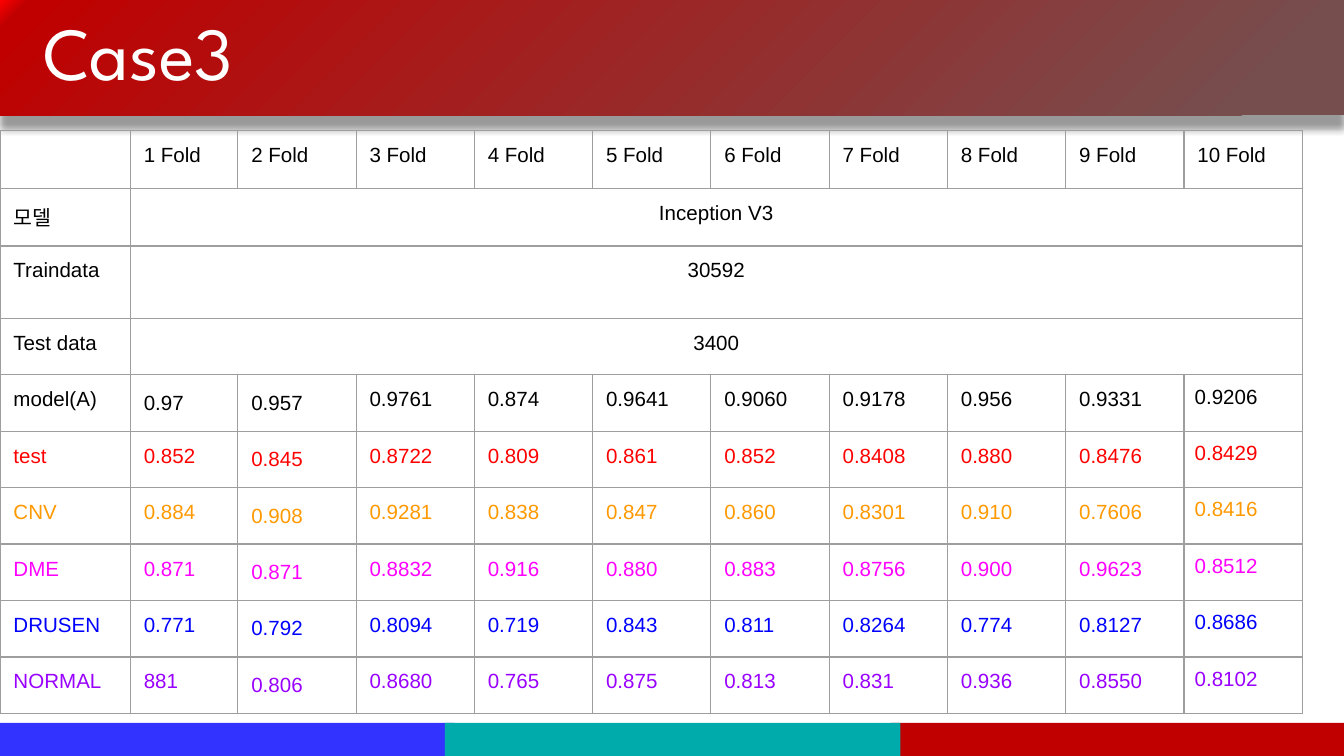
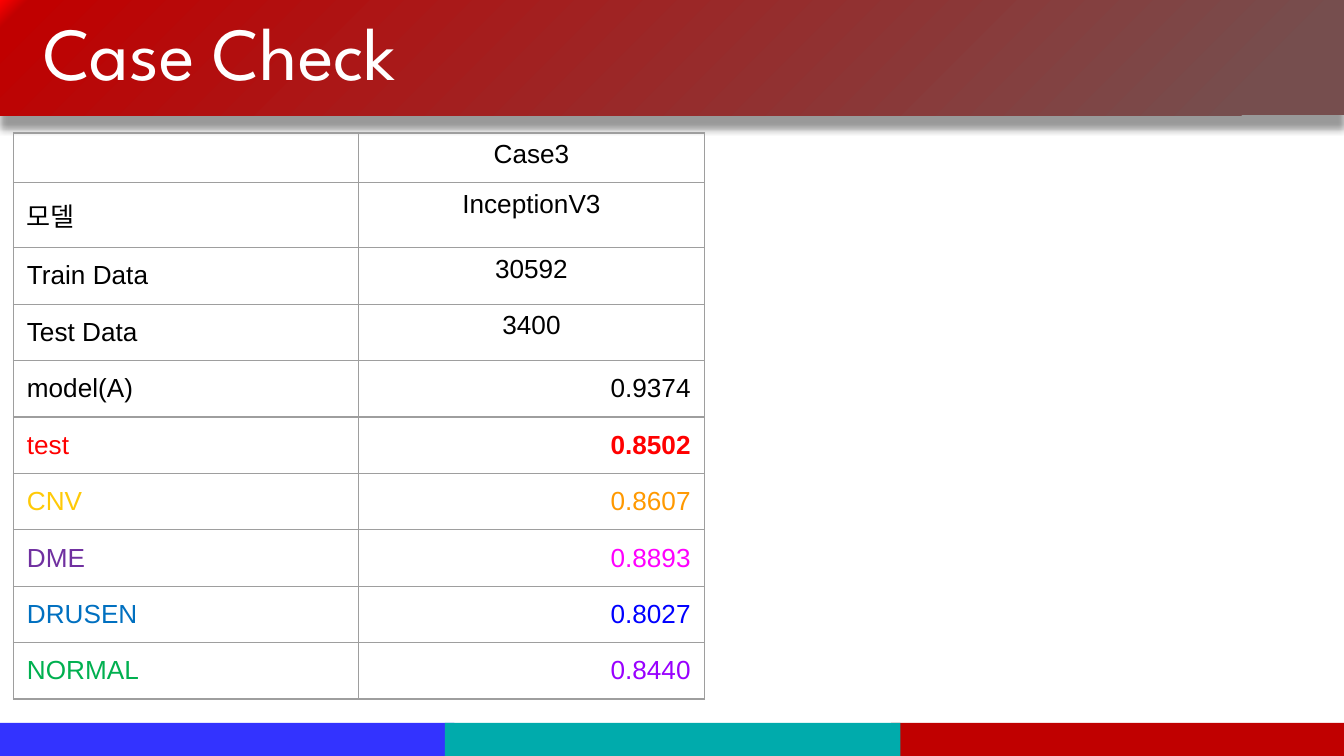
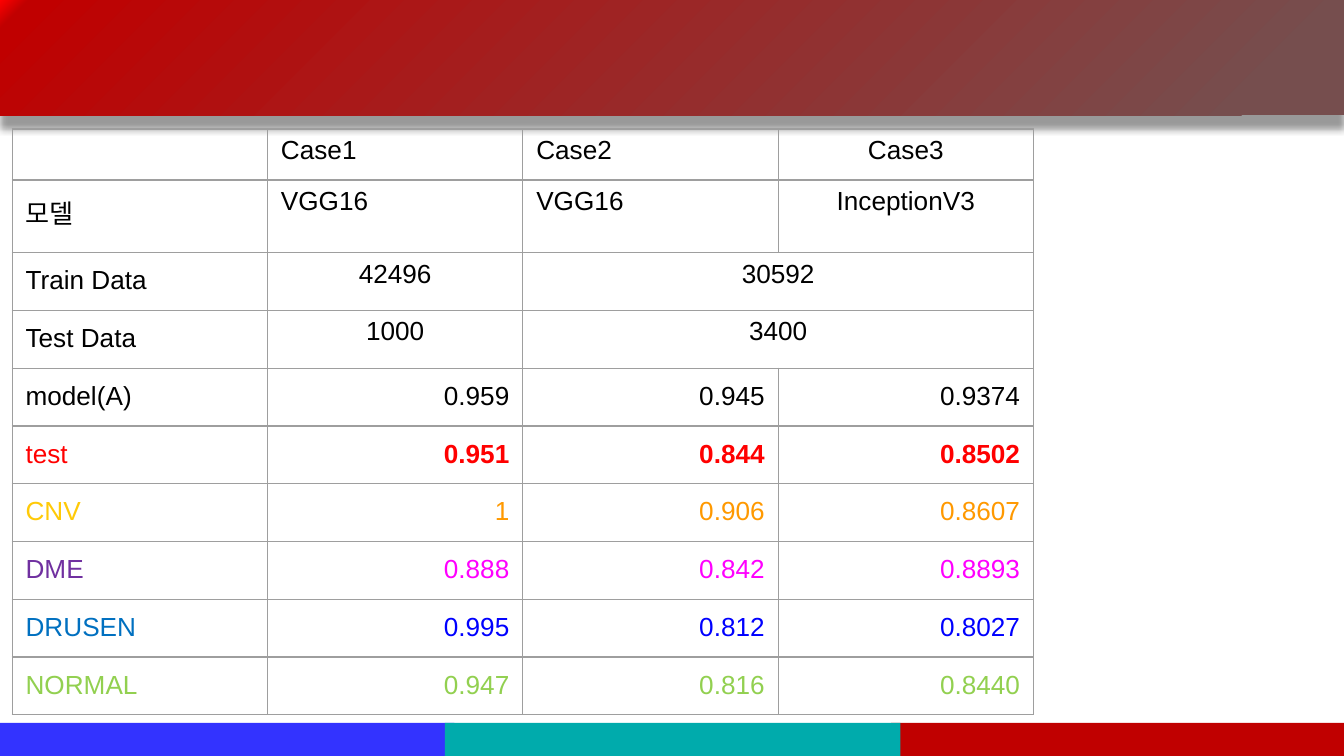
from lxml import etree
from pptx import Presentation
from pptx.dml.color import RGBColor
from pptx.enum import shapes, text
from pptx.oxml import ns, parse_xml
from pptx.util import Inches, Pt

COLORS = {
    "white": "FFFFFF", "black": "000000", "border": "9E9E9E",
    "footer_blue": "3333FF", "footer_teal": "00ABAC", "footer_red": "C00000",
    "band_start": "FF0000", "band_red": "C00000", "band_grey": "764E4E",
    "red": "FF0000", "orange": "FF9900", "magenta": "FF00FF",
    "blue": "0000FF", "violet": "9900FF", "gold": "FFCA08",
    "purple": "7030A0", "sky": "0070C0", "green": "00B050", "lime": "92D050",
}
LEFT, CENTER, RIGHT = text.PP_ALIGN.LEFT, text.PP_ALIGN.CENTER, text.PP_ALIGN.RIGHT
BODY_FONT, TITLE_FONT = "Arial", "League Spartan"

FOOTER = [(6.63, "footer_red"), (-0.01, "footer_blue"), (3.31, "footer_teal")]
BAND_STOPS = [(0, "band_start"), (2, "band_red"), (93, "band_grey"), (100, "band_grey")]

HEADER_ROWS = 4
FOLD_COLORS = ["black"] * 5 + ["red", "orange", "magenta", "blue", "violet"]
LABEL_COLORS = ["black"] * 5 + ["red", "gold", "purple", "sky"]

FOLDS = [
    [""] + [f"{fold} Fold" for fold in range(1, 11)],
    ["모델", "Inception V3"] + [None] * 9,
    ["Traindata", "30592"] + [None] * 9,
    ["Test data", "3400"] + [None] * 9,
    ["model(A)", "0.97", "0.957", "0.9761", "0.874", "0.9641", "0.9060", "0.9178", "0.956", "0.9331", "0.9206"],
    ["test", "0.852", "0.845", "0.8722", "0.809", "0.861", "0.852", "0.8408", "0.880", "0.8476", "0.8429"],
    ["CNV", "0.884", "0.908", "0.9281", "0.838", "0.847", "0.860", "0.8301", "0.910", "0.7606", "0.8416"],
    ["DME", "0.871", "0.871", "0.8832", "0.916", "0.880", "0.883", "0.8756", "0.900", "0.9623", "0.8512"],
    ["DRUSEN", "0.771", "0.792", "0.8094", "0.719", "0.843", "0.811", "0.8264", "0.774", "0.8127", "0.8686"],
    ["NORMAL", "881", "0.806", "0.8680", "0.765", "0.875", "0.813", "0.831", "0.936", "0.8550", "0.8102"],
]
CASES = [
    ["", "Case1", "Case2", "Case3"],
    ["모델", "VGG16", "VGG16", "InceptionV3"],
    ["Train Data", "42496", "30592", None],
    ["Test Data", "1000", "3400", None],
    ["model(A)", "0.959", "0.945", "0.9374"],
    ["test", "0.951", "0.844", "0.8502"],
    ["CNV", "1", "0.906", "0.8607"],
    ["DME", "0.888", "0.842", "0.8893"],
    ["DRUSEN", "0.995", "0.812", "0.8027"],
    ["NORMAL", "0.947", "0.816", "0.8440"],
]
CASE3 = [[row[0], row[3] or row[2]] for row in CASES]


def fold_format(row, col):
    is_value = row >= HEADER_ROWS
    loose = is_value and (col == 2 or (row, col) == (HEADER_ROWS, 1))
    inset = 0.08 if is_value and col == 10 else 0.1
    return dict(size=11, color=FOLD_COLORS[row], inset=(inset, inset),
                spacing=1.15 if loose else None,
                align=CENTER if 0 < row < HEADER_ROWS and col else LEFT)


def case_format(normal_label, normal_value, left_cols):
    def cell_format(row, col):
        is_value = row >= HEADER_ROWS
        if col == 0:
            return dict(size=14, color=(LABEL_COLORS + [normal_label])[row],
                        inset=(0.1, 0.1 if row else 0.05), align=LEFT)
        if is_value:
            align = RIGHT
        else:
            align = LEFT if row < 2 and col in left_cols else CENTER
        return dict(size=14, color=(FOLD_COLORS[:-1] + [normal_value])[row],
                    inset=(0.1, 0.1 if is_value else 0.05),
                    align=align, bold=is_value and row == 5)
    return cell_format


SLIDES = [
    dict(title="Case3", rows=FOLDS, at=(0, 0.97), cols=[0.97, 0.8] + [0.88] * 9,
         heights=[0.43, 0.43, 0.54] + [0.42] * 7, cell_format=fold_format),
    dict(title="Case Check", rows=CASE3, at=(0.1, 0.99), cols=[2.57] * 2,
         heights=[0.37, 0.48] + [0.42] * 8,
         cell_format=case_format("green", "violet", ())),
    dict(title=None, rows=CASES, at=(0.09, 0.96), cols=[1.9] * 4,
         heights=[0.38, 0.54] + [0.43] * 8,
         cell_format=case_format("lime", "lime", (1, 2))),
]


def write(frame, words, size, color, font=BODY_FONT, align=LEFT, bold=False,
          spacing=None, inset=(0.1, 0.05), anchor=text.MSO_ANCHOR.TOP):
    frame.margin_left = frame.margin_right = Inches(inset[0])
    frame.margin_top = frame.margin_bottom = Inches(inset[1])
    frame.vertical_anchor = anchor
    holder = getattr(frame, "text_frame", frame)
    paragraph = holder.paragraphs[0]
    paragraph.alignment = align
    paragraph.line_spacing = spacing
    if not words:
        etree.SubElement(paragraph._p, ns.qn("a:endParaRPr"), sz=str(size * 100))
        return
    run = paragraph.add_run()
    run.text = words
    run.font.size, run.font.name, run.font.bold = Pt(size), font, bold
    run.font.color.rgb = RGBColor.from_string(COLORS[color])


def add_block(slide, left, top, width, height, color):
    block = slide.shapes.add_shape(shapes.MSO_SHAPE.RECTANGLE, Inches(left), Inches(top),
                                   Inches(width), Inches(height))
    block.shadow.inherit = False
    block.line.fill.background()
    block.fill.solid()
    block.fill.fore_color.rgb = RGBColor.from_string(COLORS[color])
    return block


def style_band(band):
    stops = "".join(f'<a:gs pos="{pos * 1000}"><a:srgbClr val="{COLORS[color]}"/></a:gs>'
                    for pos, color in BAND_STOPS)
    properties = band._element.spPr
    solid = properties.find(ns.qn("a:solidFill"))
    properties.replace(solid, parse_xml(
        f'<a:gradFill {ns.nsdecls("a")} rotWithShape="1"><a:gsLst>{stops}</a:gsLst>'
        '<a:path path="circle"><a:fillToRect r="100000" b="100000"/></a:path></a:gradFill>'))
    effects = properties.find(ns.qn("a:effectLst"))
    effects.append(parse_xml(
        f'<a:outerShdw {ns.nsdecls("a")} blurRad="{Pt(4)}" dist="{Pt(7)}" dir="5400000" '
        f'algn="t" rotWithShape="0"><a:srgbClr val="{COLORS["black"]}">'
        '<a:alpha val="40000"/></a:srgbClr></a:outerShdw>'))


def decorate_master(master, slide):
    parts = [add_block(slide, left, 5.38, 3.39, 0.26, color) for left, color in FOOTER]
    band = add_block(slide, 0, 0, 10, 0.86, "band_red")
    style_band(band)
    for index, part in enumerate(parts + [band]):
        part._element.nvSpPr.cNvPr.set("id", str(20 + index))
        master.shapes._spTree.insert(2 + index, part._element)


def add_title(slide, words):
    title = slide.shapes.title
    title.left, title.top = Inches(0.22), Inches(0.02)
    title.width, title.height = Inches(9.6), Inches(0.8)
    write(title.text_frame, words, size=40, color="white", font=TITLE_FONT,
          spacing=0.9, anchor=text.MSO_ANCHOR.MIDDLE)


def add_borders(cell):
    for side in ("lnL", "lnR", "lnT", "lnB"):
        cell._tc.get_or_add_tcPr().append(parse_xml(
            f'<a:{side} {ns.nsdecls("a")} w="{Pt(0.75)}"><a:solidFill>'
            f'<a:srgbClr val="{COLORS["border"]}"/></a:solidFill></a:{side}>'))
    cell.fill.background()


def add_results(slide, rows, at, cols, heights, cell_format):
    results = slide.shapes.add_table(len(rows), len(cols), Inches(at[0]), Inches(at[1]),
                                     Inches(sum(cols)), Inches(sum(heights))).table
    results.first_row = results.horz_banding = False
    for column, width in zip(results.columns, cols):
        column.width = Inches(width)
    for r, values in enumerate(rows):
        results.rows[r].height = Inches(heights[r])
        for c, value in enumerate(values):
            cell = results.cell(r, c)
            write(cell, value, **cell_format(r, c))
            add_borders(cell)
        if None in values:
            results.cell(r, values.index(None) - 1).merge(results.cell(r, len(cols) - 1))


def main():
    deck = Presentation()
    deck.slide_width = Inches(10)
    deck.slide_height = deck.slide_width * 9 // 16
    title_only, blank = deck.slide_layouts[5], deck.slide_layouts[6]
    for number, content in enumerate(SLIDES):
        title, results = content["title"], {k: v for k, v in content.items() if k != "title"}
        slide = deck.slides.add_slide(title_only if title else blank)
        if number == 0:
            decorate_master(deck.slide_master, slide)
        if title:
            add_title(slide, title)
        add_results(slide, **results)
    deck.save("out.pptx")


if __name__ == "__main__":
    main()
